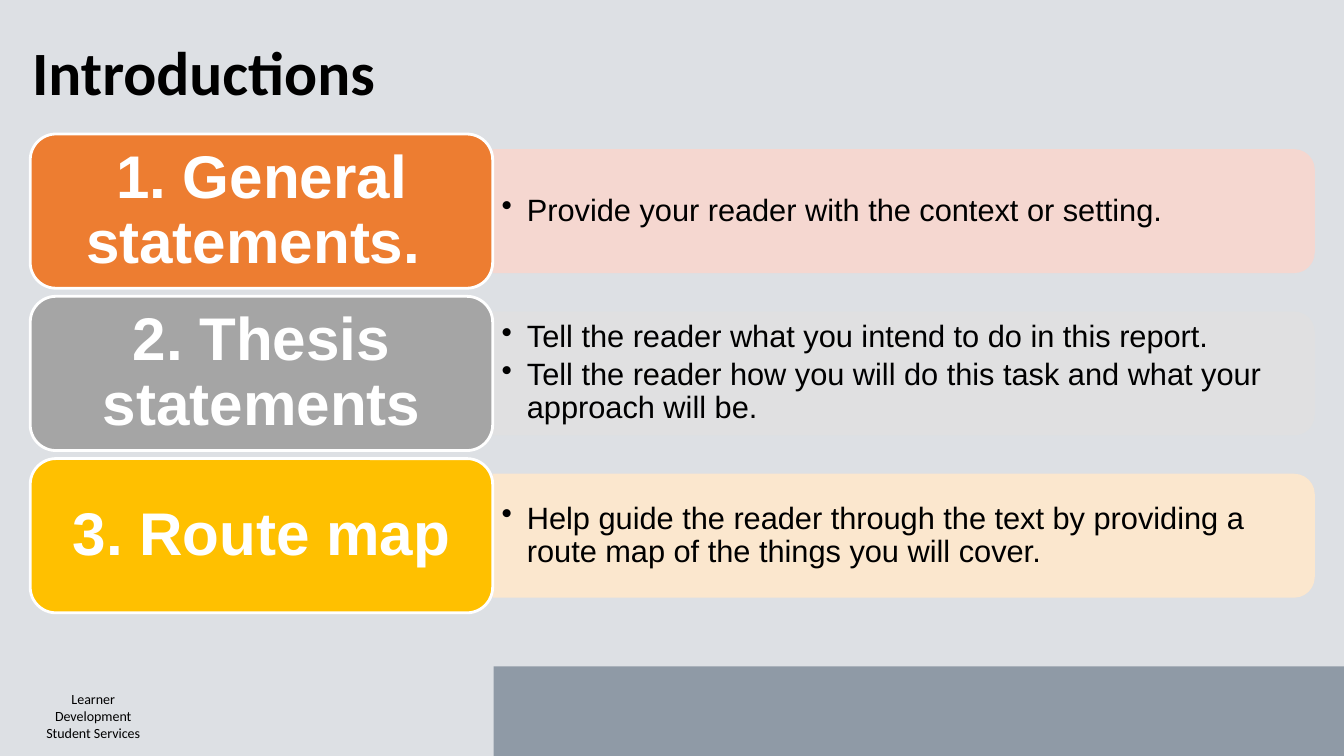
from lxml.etree import SubElement
from pptx import Presentation
from pptx.dml.color import RGBColor
from pptx.enum.shapes import MSO_SHAPE as Preset
from pptx.enum.text import MSO_ANCHOR as Anchor, PP_ALIGN as Align
from pptx.oxml.ns import qn
from pptx.util import Inches, Pt

TITLE = "Introductions"
DEPARTMENT = ["Learner Development", "Student Services"]
STEPS = [
    ("1. General statements. ", "ED7D31", "F8D7CE",
     ["Provide your reader with the context or setting."]),
    ("2. Thesis statements", "A5A5A5", "E1E1E1",
     ["Tell the reader what you intend to do in this report.",
      "Tell the reader how you will do this task and what your approach will be."]),
    ("3. Route map", "FFC000", "FFE8CC",
     ["Help guide the reader through the text by providing a route map "
      "of the things you will cover."]),
]
SLATE, BLACK, WHITE = "8F9AA6", "000000", "FFFFFF"
SLIDE_W, SLIDE_H = 13.34, 7.5
CARD_LEFT, CARD_TOP, CARD_W, CARD_H, CARD_PITCH = 0.3, 1.33, 4.59, 1.53, 1.61
PANEL_LEFT, PANEL_W, PANEL_H = 4.89, 8.16, 1.23
BULLETS_W, BULLETS_H, BULLET_INDENT = 8.1, 1.11, 0.25


def set_color(color_format, color, alpha=100):
    color_format.rgb = RGBColor.from_string(color)
    if alpha < 100:
        for node in color_format._xFill.iter(qn("a:srgbClr")):
            SubElement(node, qn("a:alpha"), val=str(alpha * 1000))


def add_block(slide, preset, box, fill, alpha=100, line=None):
    shape = slide.shapes.add_shape(preset, *map(Inches, box))
    shape.shadow.inherit = False
    shape.fill.solid()
    set_color(shape.fill.fore_color, fill, alpha)
    if line:
        shape.line.width = Pt(2)
        set_color(shape.line.color, line)
    else:
        shape.line.fill.background()
    return shape


def write(shape, lines, size, font, color=BLACK, bold=False, align=Align.LEFT,
          anchor=Anchor.MIDDLE, insets=(0.1, 0.05), spacing=0.9):
    frame = shape.text_frame
    frame.text = "\n".join(lines)
    frame.word_wrap = True
    frame.vertical_anchor = anchor
    frame.margin_left = frame.margin_right = Inches(insets[0])
    frame.margin_top = frame.margin_bottom = Inches(insets[1])
    for paragraph in frame.paragraphs:
        paragraph.alignment = align
        paragraph.line_spacing = spacing
        for run in paragraph.runs:
            run.font.size, run.font.name, run.font.bold = Pt(size), font, bold
            set_color(run.font.color, color)


def add_bullets(shape):
    for paragraph in shape.text_frame.paragraphs:
        paragraph.space_after = Pt(3.3)
        properties = paragraph._p.get_or_add_pPr()
        properties.set("marL", str(Inches(BULLET_INDENT)))
        properties.set("indent", str(-Inches(BULLET_INDENT)))
        SubElement(properties, qn("a:buChar"), char="•")


def add_text(slide, box, lines, size, font, **style):
    shape = slide.shapes.add_textbox(*map(Inches, box))
    write(shape, lines, size, font, **style)
    return shape


def add_step(slide, top, heading, card_color, panel_color, points):
    middle = top + CARD_H / 2
    panel_center = PANEL_LEFT + PANEL_W / 2
    panel = add_block(slide, Preset.ROUND_2_SAME_RECTANGLE,
                      (panel_center - PANEL_H / 2, middle - PANEL_W / 2, PANEL_H, PANEL_W),
                      panel_color, alpha=90)
    panel.rotation = 90
    bullets = add_text(slide, (PANEL_LEFT, middle - BULLETS_H / 2, BULLETS_W, BULLETS_H),
                       points, 22, "Arial", insets=(0.09, 0.05))
    add_bullets(bullets)
    card = add_block(slide, Preset.ROUNDED_RECTANGLE, (CARD_LEFT, top, CARD_W, CARD_H),
                     card_color, line=WHITE)
    write(card, [heading], 43, "Arial", color=WHITE, bold=True,
          align=Align.CENTER, insets=(0.18, 0.09))


def main():
    """Build the Introductions slide with its three steps."""
    presentation = Presentation()
    presentation.slide_width, presentation.slide_height = Inches(SLIDE_W), Inches(SLIDE_H)
    slide = presentation.slides.add_slide(presentation.slide_layouts[6])
    add_block(slide, Preset.RECTANGLE, (0, 0, SLIDE_W, SLIDE_H), SLATE, alpha=30)
    add_block(slide, Preset.RECTANGLE, (4.9, 6.61, 8.44, 0.89), SLATE)
    add_text(slide, (0.23, 6.8, 1.39, 0.6), DEPARTMENT, 10, "Calibri",
             align=Align.CENTER, anchor=Anchor.TOP, spacing=1.0)
    add_text(slide, (0.22, 0.17, 12.82, 1.16), [TITLE], 44, "Calibri", bold=True)
    for index, step in enumerate(STEPS):
        add_step(slide, CARD_TOP + index * CARD_PITCH, *step)
    presentation.save("out.pptx")


if __name__ == "__main__":
    main()
